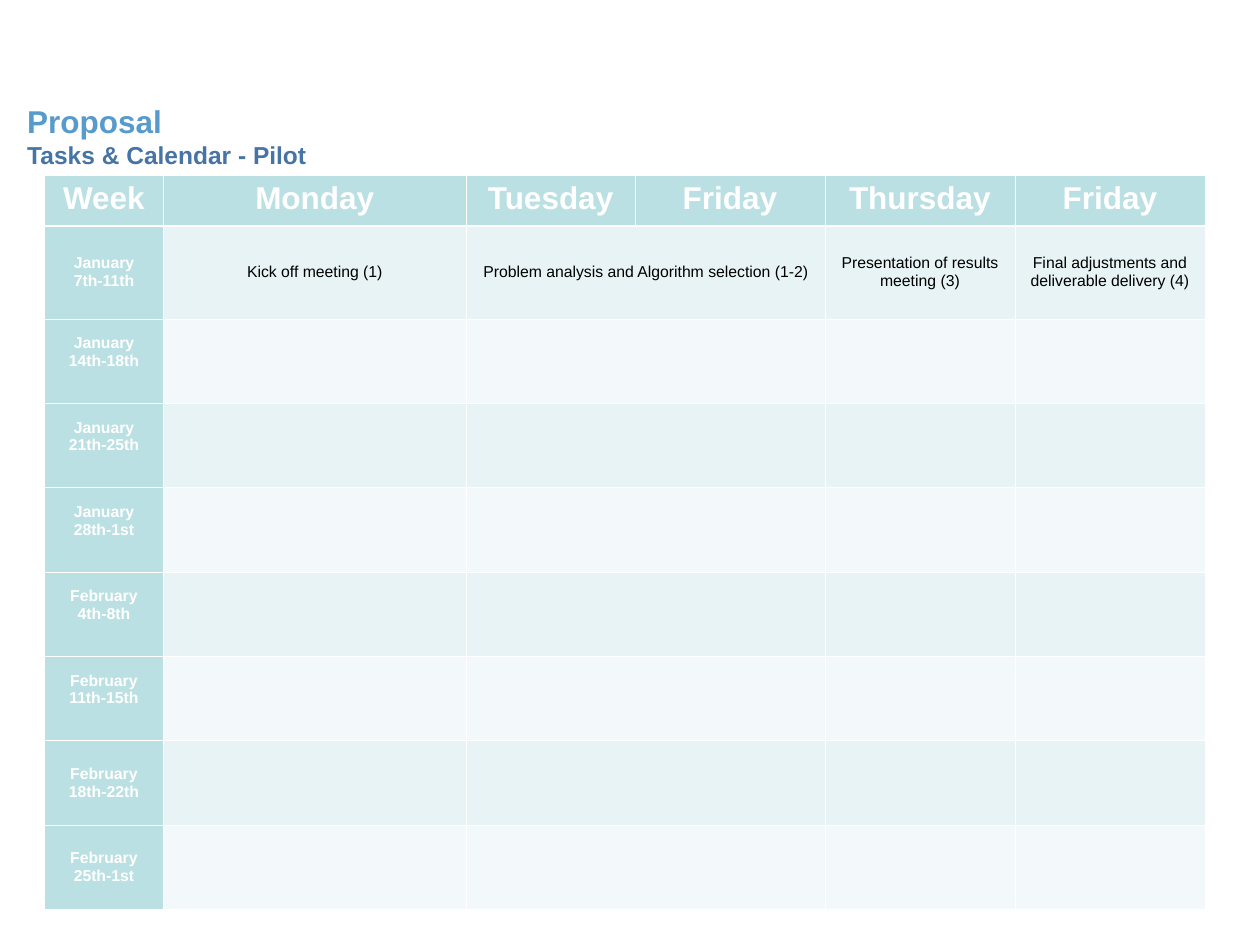
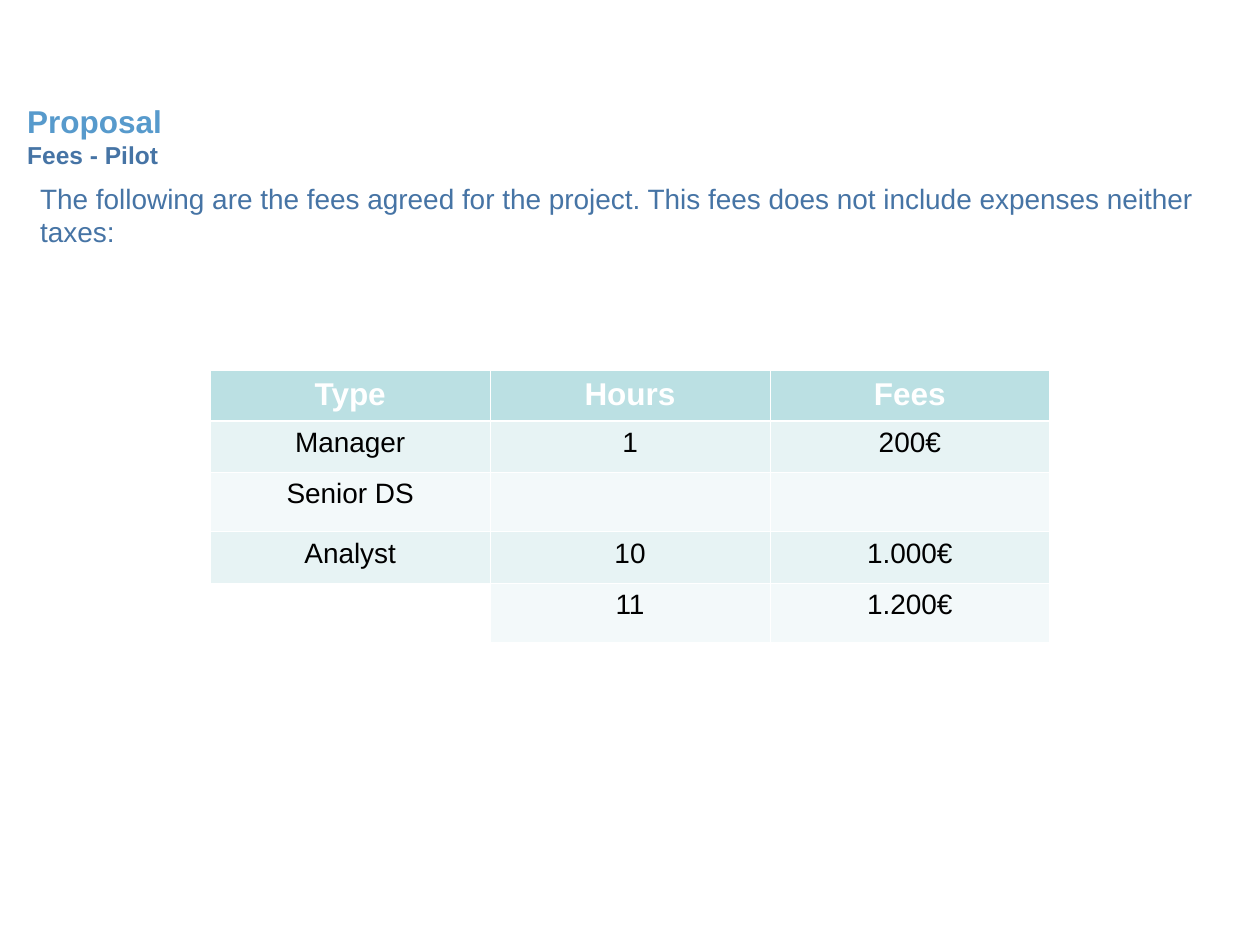
import dataclasses

import pptx
import pptx.dml.color
import pptx.enum.text
import pptx.oxml
import pptx.oxml.ns
import pptx.util

Cm = pptx.util.Cm
Pt = pptx.util.Pt
MIDDLE = pptx.enum.text.MSO_ANCHOR.MIDDLE
CENTER = pptx.enum.text.PP_ALIGN.CENTER


@dataclasses.dataclass(frozen=True)
class Theme:
    font: str = "Arial"
    title: str = "579ACC"
    accent: str = "4674A5"
    header: str = "BBE0E3"
    bands: tuple = ("E7F3F4", "F3F9FA")
    white: str = "FFFFFF"
    black: str = "000000"
    title_size: int = 18
    subtitle_size: int = 14
    body_size: int = 16
    calendar_size: int = 9
    thin: float = 0.45
    thick: float = 1.47


THEME = Theme()
TITLE_BOX = (0.3, 1.73, 13.59, 2.01)
INTRO_BOX = (0.56, 3.53, 23.93, 1.6)
CALENDAR_ORIGIN = (0.9, 3.53)
CALENDAR_COLUMNS = [2.39, 6.11, 3.4, 3.83, 3.83, 3.83]
CALENDAR_ROWS = [1.02, 1.88] + [1.7] * 7
FEES_ORIGIN = (4.24, 7.47)
FEES_COLUMNS = [5.64] * 3
FEES_ROWS = [1.02, 1.03, 1.2, 1.03, 1.19]

DAYS = ["Week", "Monday", "Tuesday", "Friday", "Thursday", "Friday"]
FIRST_WEEK_TASKS = [
    "Kick off meeting (1)",
    "Problem analysis and Algorithm selection (1-2)",
    "",
    "Presentation of results meeting (3)",
    "Final adjustments and deliverable delivery (4)",
]
WEEKS = [
    "January 7th-11th",
    "January 14th-18th",
    "January 21th-25th",
    "January 28th-1st",
    "February 4th-8th",
    "February 11th-15th",
    "February 18th-22th",
    "February 25th-1st",
]
RAISED_WEEKS = WEEKS[1:6]
FEES = [
    ["Type", "Hours", "Fees"],
    ["Manager", "1", "200€"],
    ["Senior DS", "", ""],
    ["Analyst", "10", "1.000€"],
    ["", "11", "1.200€"],
]


def rgb(color):
    return pptx.dml.color.RGBColor.from_string(color)


def set_font(para, size, color, bold=False):
    para.font.name = THEME.font
    para.font.size = Pt(size)
    para.font.bold = bold
    para.font.color.rgb = rgb(color)


def add_text(page, box, lines):
    frame = page.shapes.add_textbox(*map(Cm, box)).text_frame
    frame.word_wrap = True
    frame.vertical_anchor = MIDDLE
    for index, (text, size, color, bold) in enumerate(lines):
        para = frame.add_paragraph() if index else frame.paragraphs[0]
        para.text = text
        set_font(para, size, color, bold)


def add_heading(page, subtitle):
    add_text(page, TITLE_BOX, [
        ("Proposal", THEME.title_size, THEME.title, True),
        (subtitle, THEME.subtitle_size, THEME.accent, True),
    ])


def add_borders(cell, row):
    widths = {
        "L": THEME.thin,
        "R": THEME.thin,
        "T": THEME.thick if row == 1 else THEME.thin,
        "B": THEME.thick if row == 0 else THEME.thin,
    }
    properties = cell._tc.get_or_add_tcPr()
    for side, width in widths.items():
        properties.append(pptx.oxml.parse_xml(
            f'<a:ln{side} {pptx.oxml.ns.nsdecls("a")} w="{Pt(width)}">'
            f'<a:solidFill><a:srgbClr val="{THEME.white}"/></a:solidFill>'
            f'</a:ln{side}>'
        ))


def add_grid(page, origin, columns, rows):
    box = (*origin, sum(columns), sum(rows))
    table = page.shapes.add_table(len(rows), len(columns), *map(Cm, box)).table
    table.horz_banding = False
    for column, width in zip(table.columns, columns):
        column.width = Cm(width)
    for row, height in zip(table.rows, rows):
        row.height = Cm(height)
    return table


def fill_cell(cell, row, text, size, is_header):
    add_borders(cell, row)
    cell.fill.solid()
    cell.fill.fore_color.rgb = rgb(
        THEME.header if is_header else THEME.bands[(row - 1) % 2]
    )
    if text:
        para = cell.text_frame.paragraphs[0]
        para.text = text
        para.alignment = CENTER
        set_font(para, size, THEME.white if is_header else THEME.black, is_header)


def add_calendar(page, origin):
    table = add_grid(page, origin, CALENDAR_COLUMNS, CALENDAR_ROWS)
    table.first_col = True
    no_tasks = [""] * len(FIRST_WEEK_TASKS)
    entries = [DAYS] + [
        [week] + (no_tasks if index else FIRST_WEEK_TASKS)
        for index, week in enumerate(WEEKS)
    ]
    for row, texts in enumerate(entries):
        size = THEME.calendar_size if row else THEME.title_size
        for column, text in enumerate(texts):
            cell = table.cell(row, column)
            fill_cell(cell, row, text, size, row == 0 or column == 0)
            if row:
                cell.vertical_anchor = MIDDLE
            if text in RAISED_WEEKS:
                cell.margin_bottom = Cm(0.49)
        if row:
            table.cell(row, 2).merge(table.cell(row, 3))


def add_fees(page, origin):
    table = add_grid(page, origin, FEES_COLUMNS, FEES_ROWS)
    for row, texts in enumerate(FEES):
        size = THEME.body_size if row else THEME.title_size
        for column, text in enumerate(texts):
            fill_cell(table.cell(row, column), row, text, size, row == 0)
    table.cell(len(FEES) - 1, 0).fill.background()


def build_calendar_page(page):
    add_heading(page, "Tasks & Calendar - Pilot")
    add_calendar(page, CALENDAR_ORIGIN)


def build_fees_page(page):
    add_heading(page, "Fees - Pilot")
    add_fees(page, FEES_ORIGIN)
    add_text(page, INTRO_BOX, [(
        "The following are the fees agreed for the project. "
        "This fees does not include expenses neither taxes:",
        THEME.body_size, THEME.accent, False,
    )])


def main():
    deck = pptx.Presentation()
    deck.slide_width, deck.slide_height = Cm(25.4), Cm(19.05)
    for build_page in (build_calendar_page, build_fees_page):
        build_page(deck.slides.add_slide(deck.slide_layouts[6]))
    deck.save("out.pptx")


if __name__ == "__main__":
    main()
